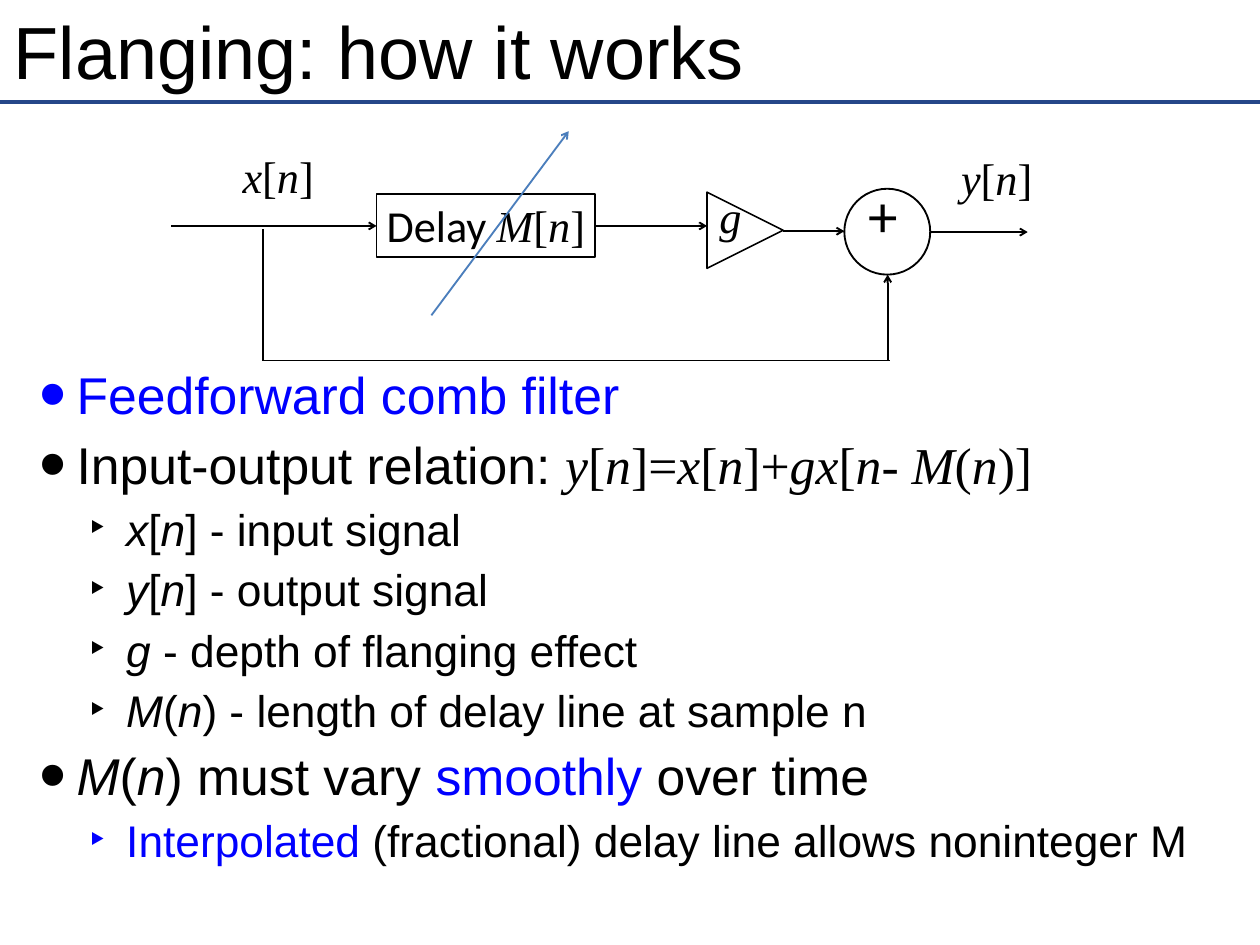
from dataclasses import dataclass

from lxml import etree
from pptx import Presentation
from pptx import util as u
from pptx.dml.color import RGBColor
from pptx.enum import shapes, text
from pptx.oxml import ns

BLACK = RGBColor(0x00, 0x00, 0x00)
BLUE = RGBColor(0x00, 0x00, 0xFF)
RULE_BLUE = RGBColor(0x25, 0x47, 0x89)
SWEEP_BLUE = RGBColor(0x4B, 0x7E, 0xBC)
MATH_FONT = "Times New Roman"


@dataclass
class Box:
    left: float
    top: float
    width: float
    height: float

    def lengths(self) -> list:
        return [u.Pt(n) for n in (self.left, self.top, self.width, self.height)]


@dataclass
class Wire:
    start: tuple[float, float]
    end: tuple[float, float]
    arrow: bool = False
    color: RGBColor = BLACK
    width: float = 1.5


@dataclass
class Block:
    kind: shapes.MSO_SHAPE
    box: Box
    rotation: float = 0
    width: float = 1.5


@dataclass
class Label:
    markup: str
    box: Box
    size: float = 36


@dataclass
class BulletLevel:
    symbol: str
    scale: int
    margin: float
    size: float


MAIN = BulletLevel("•", 150, 49.7, 42)
SUB = BulletLevel("‣", 100, 90, 36)
BULLET_INDENT = -30.2

BULLETS = [
    (MAIN, "|Feedforward comb filter|"),
    (MAIN, "Input-output relation: $_y_[_n_]=_x_[_n_]+_gx_[_n_-_ M_(_n_)]$"),
    (SUB, "_x_[_n_] - input signal"),
    (SUB, "_y_[_n_] - output signal"),
    (SUB, "_g_ - depth of flanging effect"),
    (SUB, "_M_(_n_) - length of delay line at sample n"),
    (MAIN, "_M_(_n_) must vary |smoothly| over time"),
    (SUB, "|Interpolated| (fractional) delay line allows noninteger M"),
]

BLOCKS = [
    Block(shapes.MSO_SHAPE.OVAL, Box(686.2, 153.4, 69.8, 69.8)),
    Block(shapes.MSO_SHAPE.RECTANGLE, Box(306, 157.7, 177.8, 51.1)),
    Block(shapes.MSO_SHAPE.ISOSCELES_TRIANGLE, Box(574.6, 156.2, 61.9, 61.9), 90, 1.25),
]

LABELS = [
    Label("+", Box(698.4, 141.1, 38.9, 65.5), 48),
    Label("Delay $_M_[_n_]$", Box(306, 157.7, 177.8, 51.1)),
    Label("$_x_[_n_]$", Box(189.4, 117.4, 73.4, 51.1)),
    Label("$_y_[_n_]$", Box(773.3, 119.5, 73.4, 51.1)),
    Label("$_g_$", Box(577.4, 150.5, 32.4, 51.1)),
]

WIRES = [
    Wire((0, 82.8), (1024, 82.8), color=RULE_BLUE, width=3),
    Wire((139, 183.6), (306, 183.6), arrow=True),
    Wire((483.8, 183.6), (574.6, 183.6), arrow=True),
    Wire((636.5, 187.9), (686.2, 187.9), arrow=True),
    Wire((756, 188.6), (835.2, 188.6), arrow=True),
    Wire((213.8, 186.5), (213.8, 293)),
    Wire((213.8, 293), (723.6, 293)),
    Wire((721.4, 293), (721.4, 223.2), arrow=True),
    Wire((350.6, 256.3), (462.2, 106.6), arrow=True, color=SWEEP_BLUE),
]


def add_runs(paragraph, markup: str, font_name: str, size: float) -> None:
    """Write marked text: _ toggles italic, | toggles blue, $ toggles the math font."""
    active = {"_": False, "|": False, "$": False}
    run = None
    for character in markup:
        if character in active:
            active[character] = not active[character]
            run = None
            continue
        if run is None:
            run = paragraph.add_run()
            run.font.name = MATH_FONT if active["$"] else font_name
            run.font.size = u.Pt(size)
            run.font.italic = active["_"]
            run.font.color.rgb = BLUE if active["|"] else BLACK
        run.text += character


def add_bullet(paragraph, level: BulletLevel) -> None:
    properties = paragraph._p.get_or_add_pPr()
    properties.set("marL", str(u.Pt(level.margin)))
    properties.set("indent", str(u.Pt(BULLET_INDENT)))
    etree.SubElement(properties, ns.qn("a:buSzPct"), val=str(level.scale * 1000))
    etree.SubElement(properties, ns.qn("a:buFont"), typeface="Arial")
    etree.SubElement(properties, ns.qn("a:buChar"), char=level.symbol)


def add_text_area(slide, box: Box):
    """Add a wrapped, vertically centred text box and return its frame."""
    frame = slide.shapes.add_textbox(*box.lengths()).text_frame
    frame.word_wrap = True
    frame.vertical_anchor = text.MSO_ANCHOR.MIDDLE
    frame.margin_left = frame.margin_right = u.Pt(4)
    frame.margin_top = frame.margin_bottom = u.Pt(4)
    return frame


def add_bullets(slide) -> None:
    frame = add_text_area(slide, Box(8.6, 236.9, 1008.7, 525.6))
    for index, (level, markup) in enumerate(BULLETS):
        paragraph = frame.add_paragraph() if index else frame.paragraphs[0]
        paragraph.level = 1 if level is SUB else 0
        if index:
            paragraph.space_before = u.Pt(6)
        add_bullet(paragraph, level)
        add_runs(paragraph, markup, "Arial", level.size)


def add_block(slide, block: Block) -> None:
    shape = slide.shapes.add_shape(block.kind, *block.box.lengths())
    shape.rotation = block.rotation
    shape.shadow.inherit = False
    shape.fill.background()
    shape.line.color.rgb = BLACK
    shape.line.width = u.Pt(block.width)


def add_label(slide, label: Label) -> None:
    frame = slide.shapes.add_textbox(*label.box.lengths()).text_frame
    frame.word_wrap = False
    frame.auto_size = text.MSO_AUTO_SIZE.SHAPE_TO_FIT_TEXT
    paragraph = frame.paragraphs[0]
    paragraph.alignment = text.PP_ALIGN.CENTER
    add_runs(paragraph, label.markup, "Calibri", label.size)


def add_wire(slide, wire: Wire) -> None:
    ends = [u.Pt(n) for n in (*wire.start, *wire.end)]
    connector = slide.shapes.add_connector(shapes.MSO_CONNECTOR.STRAIGHT, *ends)
    connector.line.color.rgb = wire.color
    connector.line.width = u.Pt(wire.width)
    if wire.arrow:
        etree.SubElement(connector.line._get_or_add_ln(), ns.qn("a:tailEnd"), type="arrow")
    etree.SubElement(connector._element.spPr, ns.qn("a:effectLst"))


def main() -> None:
    presentation = Presentation()
    presentation.slide_width = u.Pt(1024)
    presentation.slide_height = u.Pt(768)
    slide = presentation.slides.add_slide(presentation.slide_layouts[6])

    title = add_text_area(slide, Box(7.2, 4.3, 1008.7, 72.7))
    add_runs(title.paragraphs[0], "Flanging: how it works", "Arial", 60)
    add_bullets(slide)
    for block in BLOCKS:
        add_block(slide, block)
    for label in LABELS:
        add_label(slide, label)
    for wire in WIRES:
        add_wire(slide, wire)
    presentation.save("out.pptx")


if __name__ == "__main__":
    main()
